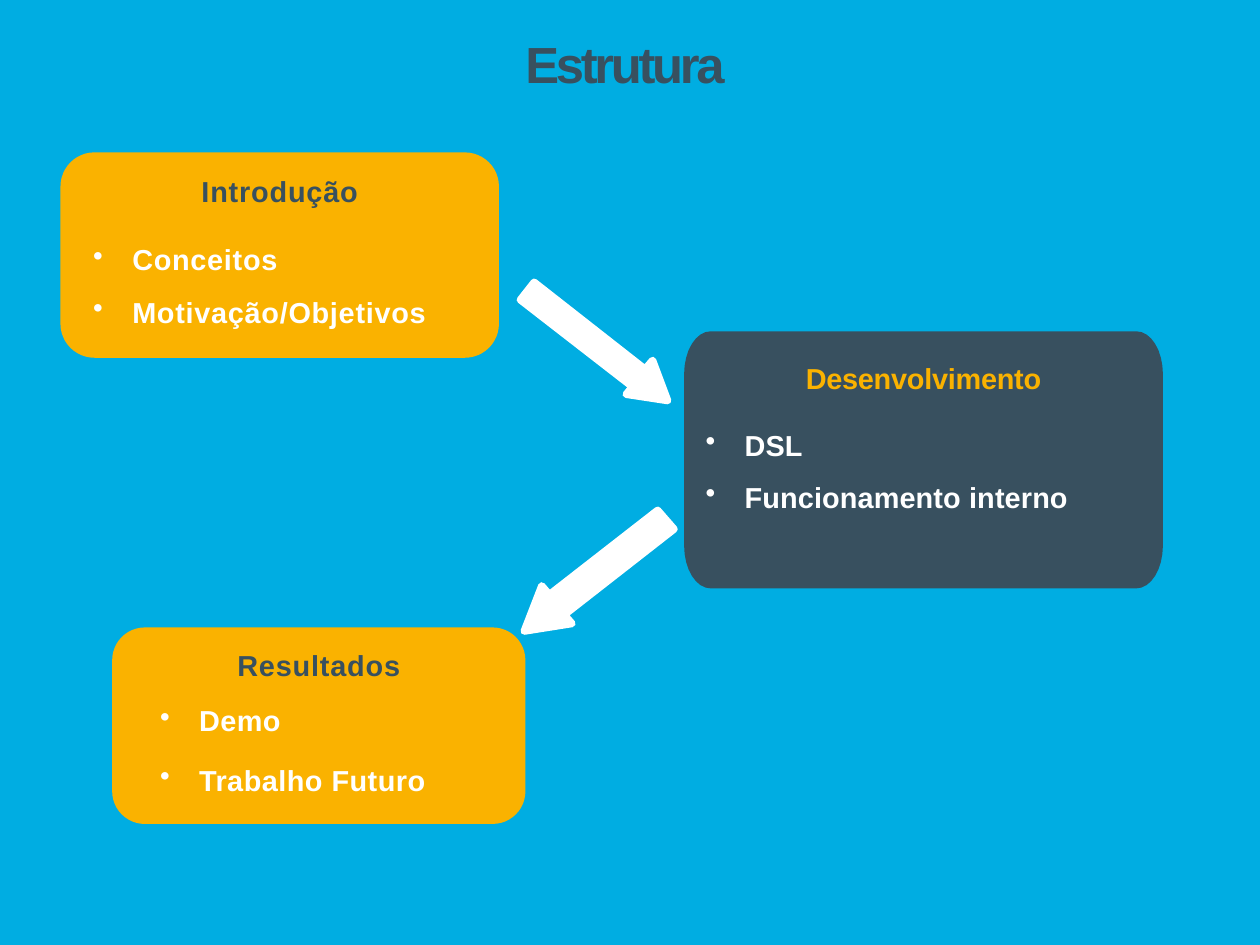
from math import cos, pi, sin

from lxml import etree
from pptx import Presentation
from pptx.dml.color import RGBColor
from pptx.enum.shapes import MSO_SHAPE
from pptx.enum.text import PP_ALIGN
from pptx.oxml.ns import qn
from pptx.util import Inches, Pt

BLUE = RGBColor(0x00, 0xAD, 0xE2)
SLATE = RGBColor(0x38, 0x50, 0x5F)
AMBER = RGBColor(0xFA, 0xB2, 0x00)
WHITE = RGBColor(0xFF, 0xFF, 0xFF)
ROUND = MSO_SHAPE.ROUNDED_RECTANGLE
CENTER = PP_ALIGN.CENTER
LEFT = PP_ALIGN.LEFT
FONT = "Arial"
SIZE = 16.5


def paint(shape, color):
    shape.shadow.inherit = False
    shape.fill.solid()
    shape.fill.fore_color.rgb = color
    shape.line.fill.background()


def outline(slide, points):
    first, *rest = [(Inches(x), Inches(y)) for x, y in points]
    form = slide.shapes.build_freeform(*first)
    form.add_line_segments(rest, close=True)
    return form.convert_to_shape()


def add_text(slide, box, lines, color, size=SIZE, track=0.0, align=LEFT,
             gap=0, bullet=False):
    frame = slide.shapes.add_textbox(*map(Inches, box)).text_frame
    frame.word_wrap = True
    frame.margin_left = frame.margin_right = frame.margin_bottom = 0
    frame.margin_top = Inches(0.02)
    for i, line in enumerate(lines):
        para = frame.paragraphs[0] if i == 0 else frame.add_paragraph()
        para.alignment = align
        para.space_before = Pt(gap if i else 0)
        if bullet:
            props = para._p.get_or_add_pPr()
            props.set("marL", str(Inches(0.33)))
            props.set("indent", str(-Inches(0.31)))
            etree.SubElement(props, qn("a:buChar")).set("char", "•")
        run = para.add_run()
        run.text = line
        run.font.name = FONT
        run.font.size = Pt(size)
        run.font.bold = True
        run.font.color.rgb = color
        run._r.get_or_add_rPr().set("spc", str(round(track * 100)))


def add_round(slide, box, radius):
    card = slide.shapes.add_shape(ROUND, *map(Inches, box))
    card.adjustments[0] = radius / min(box[2:])
    return card


def add_oval(slide, box, rx, ry, steps=8):
    """Box whose corners are quarter ellipses."""
    x, y, w, h = box
    hubs = [(x + w - rx, y + h - ry), (x + rx, y + h - ry),
            (x + rx, y + ry), (x + w - rx, y + ry)]
    points = []
    for i, (cx, cy) in enumerate(hubs):
        for j in range(steps + 1):
            turn = (i + j / steps) * pi / 2
            points.append((cx + rx * cos(turn), cy + ry * sin(turn)))
    return outline(slide, points)


def add_labels(slide, box, head, items, color, top, start, inset, gap,
               tracks):
    """Heading and bullets, offset from the card's corner."""
    x, y, w, _ = box
    add_text(slide, (x, y + top, w, 0.29), [head], color,
             track=tracks[0], align=CENTER)
    add_text(slide, (x + inset, y + start, w - inset - 0.1, 0.75), items,
             WHITE, track=tracks[1], gap=gap, bullet=True)


def add_arrow(slide, points):
    arrow = outline(slide, points)
    paint(arrow, WHITE)
    arrow.line.color.rgb = WHITE
    arrow.line.width = Pt(4.17)
    etree.SubElement(arrow.line._get_or_add_ln(), qn("a:round"))


def main():
    deck = Presentation()
    deck.slide_width, deck.slide_height = Inches(10), Inches(7.5)
    slide = deck.slides.add_slide(deck.slide_layouts[6])
    back = slide.background.fill
    back.solid()
    back.fore_color.rgb = BLUE

    # Title
    add_text(slide, (4.17, 0.24, 1.67, 0.5), ["Estrutura"], SLATE,
             size=29, track=-1.9)

    # Introduction
    intro = (0.48, 1.21, 3.48, 1.63)
    paint(add_round(slide, intro, 0.27), AMBER)
    add_labels(slide, intro, "Introdução",
               ["Conceitos", "Motivação/Objetivos"], SLATE,
               top=0.15, start=0.69, inset=0.24, gap=10.2,
               tracks=(0.5, 0.45))

    # Development
    work = (5.43, 2.63, 3.8, 2.04)
    paint(add_oval(slide, work, 0.21, 0.34), SLATE)
    add_labels(slide, work, "Desenvolvimento",
               ["DSL", "Funcionamento interno"], AMBER,
               top=0.21, start=0.74, inset=0.15, gap=10.2,
               tracks=(-0.1, 0.1))

    # Results
    result = (0.89, 4.98, 3.28, 1.56)
    paint(add_round(slide, result, 0.26), AMBER)
    add_labels(slide, result, "Resultados", ["Demo", "Trabalho Futuro"],
               SLATE, top=0.14, start=0.58, inset=0.36, gap=14.2,
               tracks=(0.5, 0.3))

    # Arrows between the cards
    add_arrow(slide, [(5.18, 2.86), (5.3, 3.18), (4.97, 3.13), (5.02, 3.07),
                      (4.13, 2.38), (4.24, 2.24), (5.12, 2.93)])
    add_arrow(slide, [(4.54, 4.95), (4.16, 5.01), (4.3, 4.65), (4.36, 4.72),
                      (5.22, 4.05), (5.35, 4.2), (4.48, 4.88)])

    deck.save("out.pptx")


if __name__ == "__main__":
    main()
